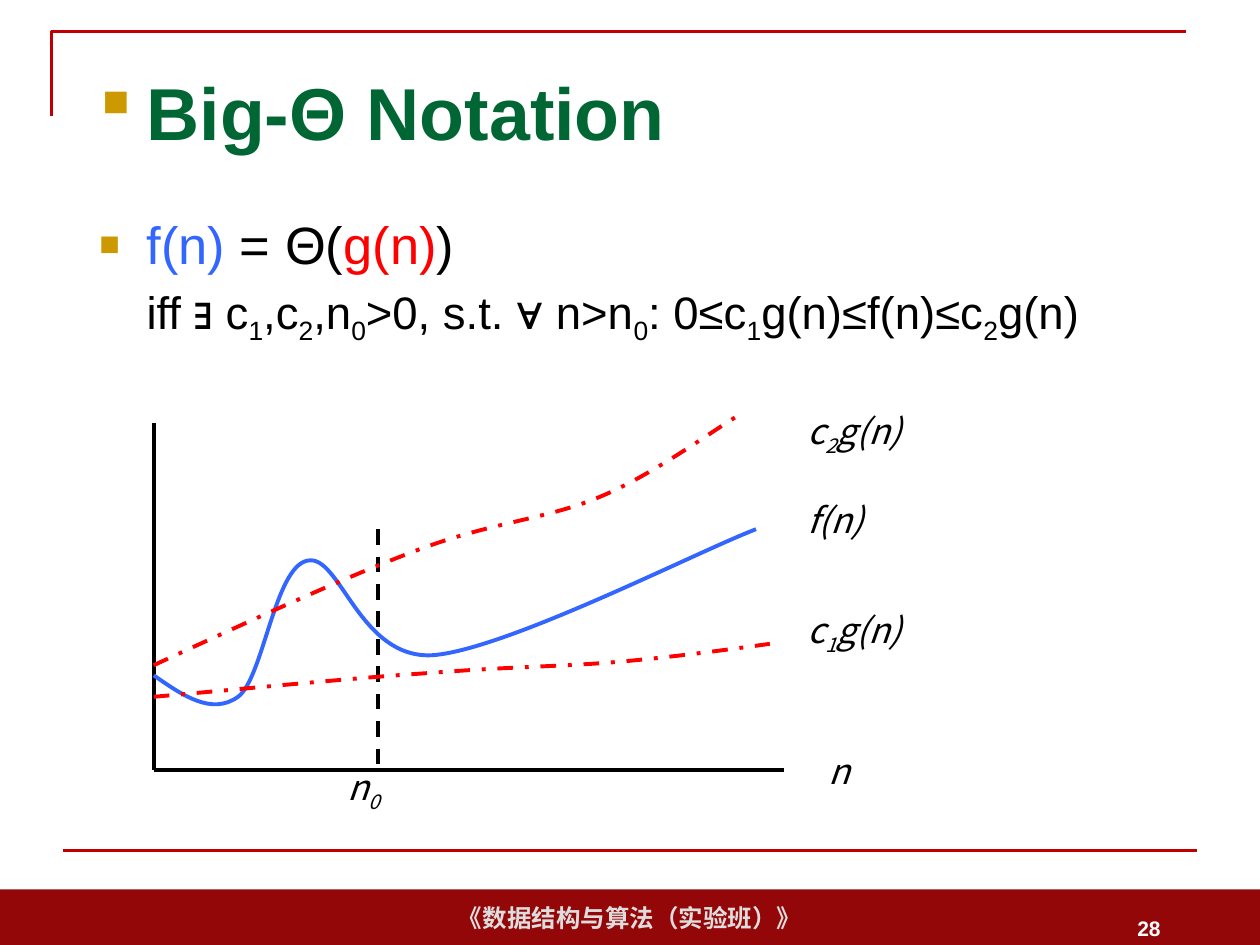
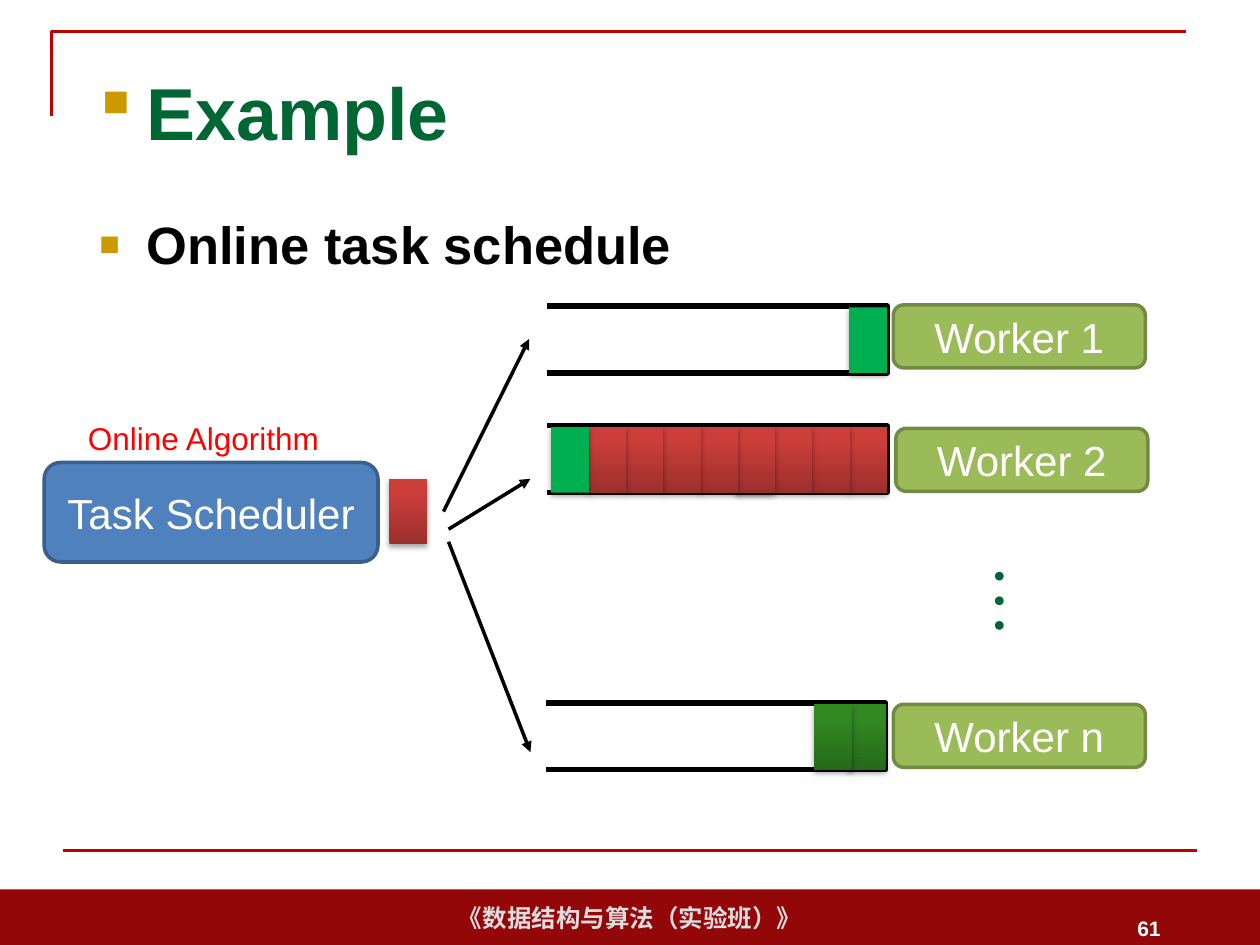
"""Build two lecture slides: Big-Theta notation and online task scheduling."""
from dataclasses import dataclass
from lxml import etree
from pptx import Presentation
from pptx.dml.color import RGBColor
from pptx.enum.dml import MSO_LINE
from pptx.enum.shapes import MSO_CONNECTOR, MSO_SHAPE
from pptx.enum.text import MSO_ANCHOR, PP_ALIGN
from pptx.oxml.ns import qn
from pptx.util import Inches, Pt

RECT, ROUND = MSO_SHAPE.RECTANGLE, MSO_SHAPE.ROUNDED_RECTANGLE
STRAIGHT = MSO_CONNECTOR.STRAIGHT
DASH, DOTS = MSO_LINE.DASH, MSO_LINE.DASH_DOT
MIDDLE, TOP = MSO_ANCHOR.MIDDLE, MSO_ANCHOR.TOP
LEFT, CENTER, RIGHT = PP_ALIGN.LEFT, PP_ALIGN.CENTER, PP_ALIGN.RIGHT


@dataclass(frozen=True)
class Theme:
    """Colours, fonts and type sizes."""
    band: str = "940709"
    rule: str = "C00000"
    title: str = "006633"
    bullet: str = "CC9900"
    foot: str = "DDDDDD"
    white: str = "FFFFFF"
    black: str = "000000"
    blue: str = "3366FF"
    red: str = "FF0000"
    green: str = "00B050"
    worker: tuple = ("9BBB59", "738A42")
    sched: tuple = ("4F81BD", "3A5F8C")
    task: tuple = ("9C2F2D", "CB3E3A")
    done: tuple = ("26691A", "318922")
    font: str = "Arial"
    math: str = "Noto Sans CJK SC"
    serif: str = "Times New Roman"
    head: int = 42
    lead: int = 30
    body: int = 26
    node: int = 24
    label: int = 20
    note: int = 18
    small: int = 14
    page: int = 12


T = Theme()

FOOTER = "《数据结构与算法（实验班）》"
CORNER = [(0.41, 0.92), (0.41, 0.25), (9.41, 0.25)]
HEAD_MARK = ("§", "Wingdings", 100)
LEAD_MARK = ("■", T.font, 65)

THETA = {
    "title": "Big-Θ Notation", "page": "28",
    "lead": [("f(n)", T.blue), (" = Θ(", T.black), ("g(n)", T.red), (")", T.black)],
    "bold": False,
    "rest": "iff ∃ c_1,c_2,n_0>0, s.t. ∀ n>n_0: 0≤c_1g(n)≤f(n)≤c_2g(n)",
}
AXES = [
    ((1.22, 6.11), (6.22, 6.11), None),
    ((1.22, 6.11), (1.22, 3.36), None),
    ((3, 4.2), (3, 6.11), DASH),
]
CURVES = [
    (T.blue, None, [(1.22, 5.36), (1.45, 5.52), (1.68, 5.68), (1.89, 5.53),
                    (2.09, 5.38), (2.18, 4.5), (2.44, 4.45),
                    (2.7, 4.39), (2.85, 5.24), (3.44, 5.2),
                    (4.03, 5.15), (5.53, 4.38), (6, 4.2)]),
    (T.red, DOTS, [(1.22, 5.53), (2.02, 5.46), (2.81, 5.38), (3.43, 5.34),
                   (4.05, 5.29), (4.5, 5.29), (4.94, 5.25),
                   (5.39, 5.21), (5.89, 5.14), (6.11, 5.11)]),
    (T.red, DOTS, [(1.22, 5.28), (1.98, 4.93), (2.74, 4.58), (3.33, 4.36),
                   (3.92, 4.14), (4.35, 4.12), (4.77, 3.94),
                   (5.2, 3.76), (5.68, 3.4), (5.89, 3.28)]),
]
LABELS = [
    ("c_2g(n)", 6.31, 3.2, 0.99), ("f(n)", 6.31, 3.91, 0.66),
    ("c_1g(n)", 6.31, 4.78, 0.99), ("n_0", 2.66, 6.03, 0.49),
    ("n", 6.48, 5.9, 0.38),
]

SCHED = {
    "title": "Example", "page": "61",
    "lead": [("Online task schedule", T.black)], "bold": True, "rest": None,
}
PITCH = 2.07 / 7
LANES = [
    ("Worker 1", (7.09, 2.42), (4.34, 2.43), PITCH, False, [T.green]),
    ("Worker 2", (7.11, 3.4), (4.34, 3.38), PITCH, True, [T.task] * 8 + [T.green]),
    ("Worker n", (7.09, 5.59), (4.33, 5.58), 0.27, True, [T.done] * 2),
]
LANE = (2.7, 0.53)
CELL = (0.3, 0.52)
LAST = 2.4
TICK = (2.23, 0.16, 0.42)
NEXT, SPARE = (3.09, 3.8), (5.84, 3.39)
ARROWS = [
    ((3.52, 4.06), (4.2, 2.69)),
    ((3.56, 4.2), (4.21, 3.8)),
    ((3.56, 4.3), (4.21, 5.97)),
]


def rgb(code):
    return RGBColor.from_string(code)


def inch(*nums):
    return [Inches(n) for n in nums]


def add_run(para, text, size, color, font=T.font, bold=False, ital=False):
    """Add runs; an underscore lowers the one character after it."""
    head, *tail = text.split("_")
    bits = [(head, False)]
    for part in tail:
        bits += [(part[0], True), (part[1:], False)]
    for bit, low in bits:
        if not bit:
            continue
        run = para.add_run()
        run.text = bit
        run.font.size, run.font.name = Pt(size), font
        run.font.bold, run.font.italic = bold, ital
        run.font.color.rgb = rgb(color)
        if low:
            run.font._element.set("baseline", "-25000")


def add_box(slide, at, anchor=TOP, align=LEFT, wrap=True):
    frame = slide.shapes.add_textbox(*inch(*at)).text_frame
    frame.word_wrap, frame.vertical_anchor = wrap, anchor
    frame.paragraphs[0].alignment = align
    return frame


def indent(para, mark=None):
    """Indent a paragraph, with a bullet if a mark is given."""
    props = para._p.get_or_add_pPr()
    props.set("marL", str(Pt(27)))
    if mark:
        char, font, size = mark
        props.set("indent", str(-Pt(27)))
        color = etree.SubElement(props, qn("a:buClr"))
        etree.SubElement(color, qn("a:srgbClr"), val=T.bullet)
        etree.SubElement(props, qn("a:buSzPct"), val=str(size * 1000))
        etree.SubElement(props, qn("a:buFont"), typeface=font)
        etree.SubElement(props, qn("a:buChar"), char=char)


def pen(line, color, width, dash=None):
    line.color.rgb, line.width = rgb(color), Pt(width)
    if dash:
        line.dash_style = dash


def add_line(slide, start, end, color, width, dash=None, arrow=False):
    link = slide.shapes.add_connector(STRAIGHT, *inch(*start, *end))
    pen(link.line, color, width, dash)
    if arrow:
        etree.SubElement(link.line._get_or_add_ln(), qn("a:tailEnd"), type="triangle")
    etree.SubElement(link._element.spPr, qn("a:effectLst"))


def add_path(slide, pts, color, width, dash=None):
    pts = [inch(*p) for p in pts]
    build = slide.shapes.build_freeform(*pts[0])
    build.add_line_segments(pts[1:], close=False)
    shape = build.convert_to_shape()
    shape.shadow.inherit = False
    shape.fill.background()
    pen(shape.line, color, width, dash)
    return shape


def bend(shape):
    """Turn each three straight steps into one cubic curve."""
    track = next(shape._element.iter(qn("a:path")))
    steps = track.findall(qn("a:lnTo"))
    for k in range(0, len(steps), 3):
        curve = etree.SubElement(track, qn("a:cubicBezTo"))
        for step in steps[k:k + 3]:
            curve.append(step[0])
            track.remove(step)


def add_shape(slide, kind, at, fill, edge=None):
    shape = slide.shapes.add_shape(kind, *inch(*at))
    shape.shadow.inherit = False
    shape.fill.solid()
    shape.fill.fore_color.rgb = rgb(fill)
    if edge:
        pen(shape.line, edge, 2)
    else:
        shape.line.fill.background()
    return shape


def add_node(slide, text, at, look):
    frame = add_shape(slide, ROUND, at, *look).text_frame
    frame.word_wrap, frame.vertical_anchor = True, MIDDLE
    frame.paragraphs[0].alignment = CENTER
    add_run(frame.paragraphs[0], text, T.node, T.white)


def add_cell(slide, spot, look):
    """Add a queued task: flat for one colour, shaded for two."""
    flat = isinstance(look, str)
    cell = add_shape(slide, RECT, (*spot, *CELL), look if flat else look[0])
    if not flat:
        cell.fill.gradient()
        cell.fill.gradient_angle = 90
        for stop, color, pos in zip(cell.fill.gradient_stops, look, (0, 0.8)):
            stop.color.rgb, stop.position = rgb(color), pos
    glow = etree.SubElement(
        cell._element.spPr.find(qn("a:effectLst")), qn("a:outerShdw"),
        blurRad=str(Pt(3.1)), dist=str(Pt(1.8)), dir="5400000", rotWithShape="0")
    tint = etree.SubElement(glow, qn("a:srgbClr"), val=T.black)
    etree.SubElement(tint, qn("a:alpha"), val="35000")


def add_slide(deck, info):
    """Add a slide with the shared band, rules, title and lead text."""
    slide = deck.slides.add_slide(deck.slide_layouts[6])
    band = add_shape(slide, RECT, (0, 7.06, 10, 0.44), T.band).text_frame
    band.word_wrap, band.vertical_anchor = False, MIDDLE
    band.paragraphs[0].alignment = CENTER
    add_run(band.paragraphs[0], FOOTER, T.small, T.foot, bold=True)
    add_path(slide, CORNER, T.rule, 1.5)
    add_line(slide, (0.5, 6.75), (9.5, 6.75), T.rule, 1.5)

    para = add_box(slide, (0.69, 0.39, 8.63, 0.99), MIDDLE).paragraphs[0]
    indent(para, HEAD_MARK)
    add_run(para, info["title"], T.head, T.title, bold=True)

    body = add_box(slide, (0.69, 1.63, 8.63, 5.15))
    para = body.paragraphs[0]
    para.space_before = Pt(T.lead * 0.2)
    indent(para, LEAD_MARK)
    for text, color in info["lead"]:
        add_run(para, text, T.lead, color, bold=info["bold"])
    if info["rest"]:
        para = body.add_paragraph()
        para.space_before = Pt(T.body * 0.2)
        indent(para)
        add_run(para, info["rest"], T.body, T.black)

    page = add_box(slide, (7.06, 7.17, 2.25, 0.4), MIDDLE, RIGHT)
    add_run(page.paragraphs[0], info["page"], T.page, T.white, bold=True)
    return slide


def draw_theta(deck):
    slide = add_slide(deck, THETA)
    for start, end, dash in AXES:
        add_line(slide, start, end, T.black, 2.25, dash)
    for color, dash, pts in CURVES:
        bend(add_path(slide, pts, color, 2.25, dash))
    for text, x, y, wide in LABELS:
        frame = add_box(slide, (x, y, wide, 0.44), wrap=False)
        add_run(frame.paragraphs[0], text, T.label, T.black, T.math, ital=True)


def draw_sched(deck):
    slide = add_slide(deck, SCHED)
    add_node(slide, "Task Scheduler", (0.35, 3.67, 2.65, 0.79), T.sched)
    note = add_box(slide, (0.59, 3.28, 2.05, 0.4), align=CENTER, wrap=False)
    add_run(note.paragraphs[0], "Online Algorithm", T.note, T.red)
    more = add_box(slide, (7.63, 4.38, 0.91, 0.95))
    more._txBody.bodyPr.set("vert", "eaVert")
    add_run(more.paragraphs[0], "…", T.head, T.title, T.serif)

    add_cell(slide, SPARE, T.green)
    wide, high = LANE
    at, top, low = TICK
    for name, spot, (x, y), pitch, tick, cells in LANES:
        add_path(slide, [(x, y), (x + wide, y), (x + wide, y + high), (x, y + high)],
                 T.black, 3)
        if tick:
            add_line(slide, (x + at, y + top), (x + at, y + low), T.black, 3)
        for i, look in enumerate(cells):
            add_cell(slide, (x + LAST - i * pitch, y + 0.01), look)
        add_node(slide, name, (*spot, 2, 0.5), T.worker)
    add_cell(slide, NEXT, T.task)
    for start, end in ARROWS:
        add_line(slide, start, end, T.black, 2, arrow=True)


def main():
    deck = Presentation()
    deck.slide_width, deck.slide_height = inch(10, 7.5)
    draw_theta(deck)
    draw_sched(deck)
    deck.save("out.pptx")


if __name__ == "__main__":
    main()
